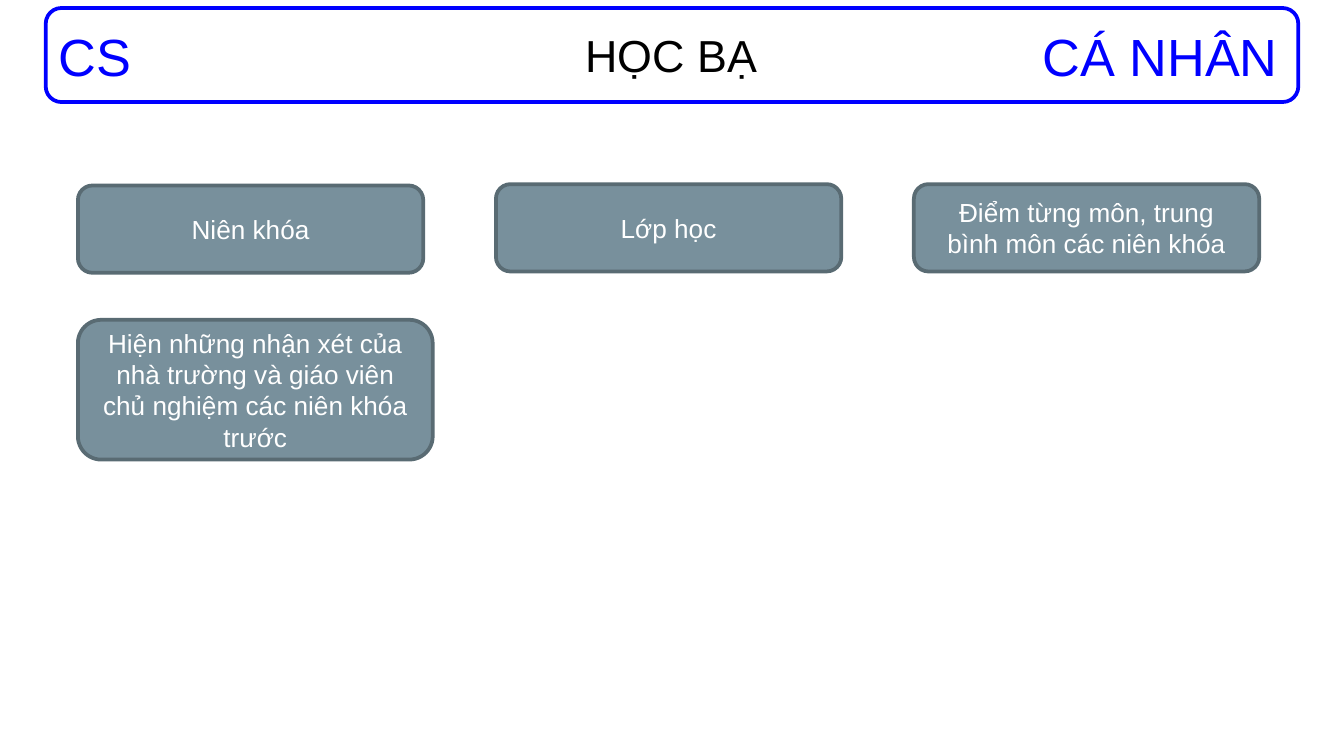
from dataclasses import dataclass

from pptx import Presentation
from pptx.dml.color import RGBColor
from pptx.enum.shapes import MSO_SHAPE
from pptx.enum.text import MSO_ANCHOR, PP_ALIGN
from pptx.util import Inches, Pt

ROUNDED = MSO_SHAPE.ROUNDED_RECTANGLE
TOP, MIDDLE = MSO_ANCHOR.TOP, MSO_ANCHOR.MIDDLE
LEFT, CENTER = PP_ALIGN.LEFT, PP_ALIGN.CENTER


@dataclass(frozen=True)
class Theme:
    font: str = "Arial"
    blue: str = "0000FF"
    black: str = "000000"
    white: str = "FFFFFF"
    card_fill: str = "78909C"
    card_line: str = "596B73"
    label_size: int = 28
    title_size: int = 24
    card_size: int = 14
    line_width: int = 2


THEME = Theme()


def write(shape, text, size, color, align=LEFT, anchor=TOP, inset=0.05):
    """Put one formatted paragraph into a shape."""
    tf = shape.text_frame
    frame_format = {
        "word_wrap": True,
        "vertical_anchor": anchor,
        "margin_left": Inches(0.1),
        "margin_right": Inches(0.1),
        "margin_top": Inches(inset),
        "margin_bottom": Inches(inset),
    }
    for name, value in frame_format.items():
        setattr(tf, name, value)
    p = tf.paragraphs[0]
    p.alignment = align
    r = p.add_run()
    r.text = text
    for name, value in {"name": THEME.font, "size": Pt(size)}.items():
        setattr(r.font, name, value)
    r.font.color.rgb = RGBColor.from_string(color)


def add_label(s, box, text, size, color, **layout):
    tb = s.shapes.add_textbox(*map(Inches, box))
    write(tb, text, size, color, **layout)


def add_rounded(s, box, line, fill=None):
    sp = s.shapes.add_shape(ROUNDED, *map(Inches, box))
    sp.shadow.inherit = False
    if fill:
        sp.fill.solid()
        sp.fill.fore_color.rgb = RGBColor.from_string(fill)
    else:
        sp.fill.background()
    sp.line.color.rgb = RGBColor.from_string(line)
    sp.line.width = Pt(THEME.line_width)
    return sp


def add_card(s, box, text):
    sp = add_rounded(s, box, THEME.card_line, THEME.card_fill)
    write(sp, text, THEME.card_size, THEME.white, align=CENTER, anchor=MIDDLE)


def add_header(s):
    add_rounded(s, (0.34, 0.06, 9.32, 0.7), THEME.blue)
    add_label(s, (0.34, 0.13, 3.05, 0.57), "CS", THEME.label_size, THEME.blue)
    add_label(s, (3.69, 0.06, 2.61, 0.7), "HỌC BẠ", THEME.title_size, THEME.black,
              align=CENTER, anchor=MIDDLE, inset=0.1)
    add_label(s, (7.66, 0.13, 2, 0.57), "CÁ NHÂN", THEME.label_size, THEME.blue)


def main():
    # Widescreen 16:9 slide
    prs = Presentation()
    prs.slide_width = Inches(10)
    prs.slide_height = prs.slide_width * 9 // 16
    s = prs.slides.add_slide(prs.slide_layouts[6])

    # Header bar
    add_header(s)

    # Row of three equally spaced cards
    left, pitch = 0.58, 3.11
    row = [
        ("Niên khóa", 1.38),
        ("Lớp học", 1.37),
        ("Điểm từng môn, trung bình môn các niên khóa", 1.37),
    ]
    for i, (text, top) in enumerate(row):
        add_card(s, (left + i * pitch, top, 2.57, 0.65), text)

    # Taller card for the remarks
    add_card(s, (left, 2.38, 2.64, 1.04),
             "Hiện những nhận xét của nhà trường và giáo viên "
             "chủ nghiệm các niên khóa trước")

    prs.save("out.pptx")


if __name__ == "__main__":
    main()
